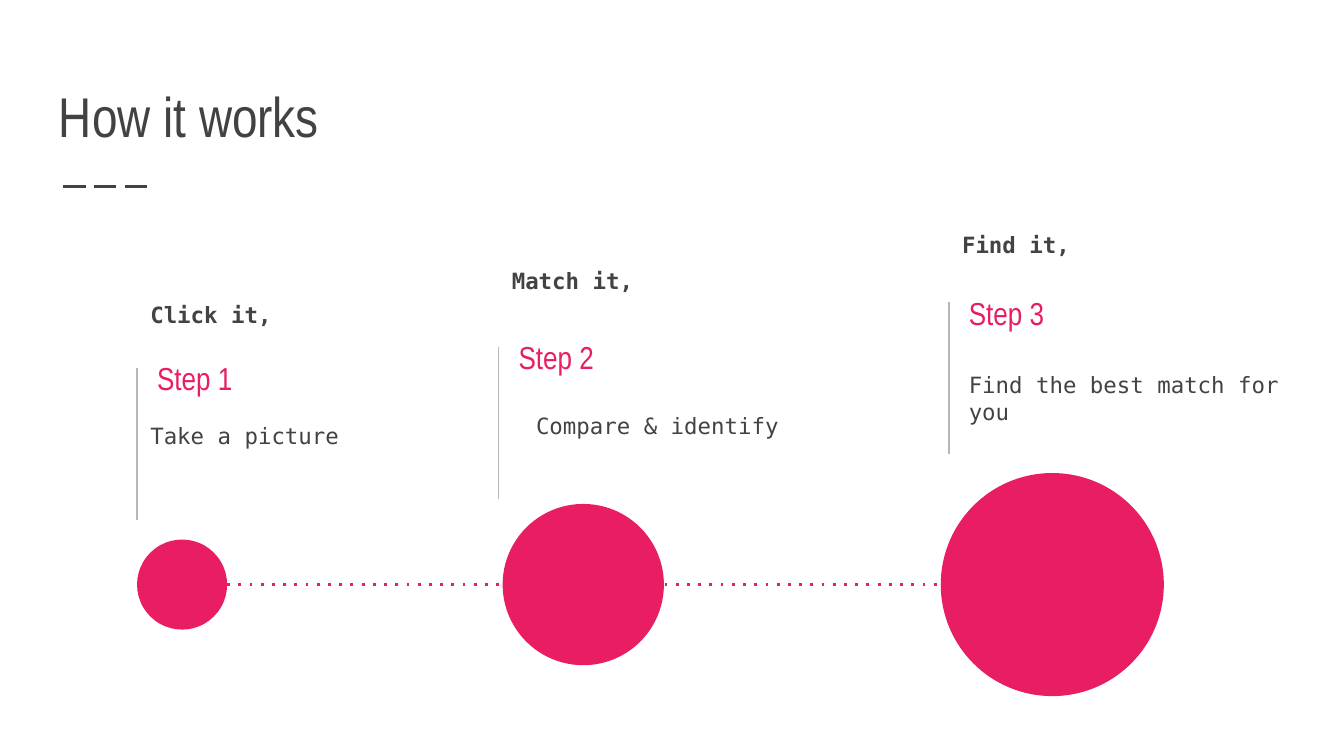
from typing import NamedTuple, Optional

from lxml.etree import SubElement
from pptx import Presentation
from pptx.dml.color import RGBColor
from pptx.enum.shapes import MSO_CONNECTOR_TYPE as Connector, MSO_SHAPE as Preset
from pptx.enum.text import MSO_ANCHOR as Anchor
from pptx.oxml.ns import qn
from pptx.util import Inches, Pt

PINK, GREY, INK, RULE = "E91D63", "424242", "434343", "B7B7B7"
TITLE = {"name": "Arial Narrow", "size": Pt(30), "color": GREY}
LABEL = {"name": "Arial Narrow", "size": Pt(17), "color": PINK}
BODY = {"name": "DejaVu Sans Mono", "size": Pt(12), "color": INK}
ACTION = {**BODY, "bold": True}
AXIS_Y = 4.35
RULE_LENGTH = 1.13


class Box(NamedTuple):
    left: float
    top: float
    width: float
    height: float


class Step(NamedTuple):
    label: str
    action: str
    detail: str
    rule_x: float
    rule_y: float
    action_y: float
    circle_x: float
    diameter: float
    detail_box: Optional[Box]


STEPS = [
    Step("Step 1", "Click it,", "Take a picture",
         1.02, 2.74, 2.11, 1.02, 0.67, None),
    Step("Step 2", "Match it,", "Compare & identify",
         3.71, 2.58, 1.86, 3.74, 1.2, Box(3.89, 2.97, 2.55, 0.29)),
    Step("Step 3", "Find it,", "Find the best match for you",
         7.06, 2.25, 1.59, 7, 1.66, Box(7.11, 2.66, 2.75, 0.29)),
]


def rgb(code: str) -> RGBColor:
    return RGBColor.from_string(code)


def add_words(paragraph, words: str, style: dict) -> None:
    run = paragraph.add_run()
    run.text = words
    for key, value in style.items():
        if key == "color":
            run.font.color.rgb = rgb(value)
        else:
            setattr(run.font, key, value)


def add_text(slide, box: Box, words: str, style: dict, anchor=Anchor.TOP):
    frame = slide.shapes.add_textbox(*map(Inches, box)).text_frame
    settings = {"word_wrap": True, "vertical_anchor": anchor}
    for side in ("left", "top", "right", "bottom"):
        settings[f"margin_{side}"] = Inches(0.1)
    for key, value in settings.items():
        setattr(frame, key, value)
    add_words(frame.paragraphs[0], words, style)
    return frame


def add_line(slide, start: tuple, end: tuple, color: str, width: float,
             dash: str = "solid") -> None:
    line = slide.shapes.add_connector(
        Connector.STRAIGHT, *map(Inches, (*start, *end)))
    line.line.color.rgb = rgb(color)
    line.line.width = Pt(width)
    properties = line._element.spPr
    SubElement(properties.find(qn("a:ln")), qn("a:prstDash"), val=dash)
    SubElement(properties, qn("a:effectLst"))


def add_circle(slide, step: Step) -> None:
    top = AXIS_Y - step.diameter / 2
    circle = slide.shapes.add_shape(Preset.OVAL, *map(
        Inches, (step.circle_x, top, step.diameter, step.diameter)))
    circle.shadow.inherit = False
    circle.fill.solid()
    circle.fill.fore_color.rgb = rgb(PINK)
    circle.line.fill.background()


def add_step(slide, step: Step) -> None:
    x, y = step.rule_x, step.rule_y
    add_line(slide, (x, y), (x, y + RULE_LENGTH), RULE, 0.75)
    add_text(slide, Box(x + 0.05, y - 0.14, 1.98, 0.43), step.label, LABEL,
             Anchor.MIDDLE)
    action = add_text(slide, Box(x, step.action_y, 1.98, 0.35), step.action, ACTION)
    action.paragraphs[0].line_spacing = 1.15
    if step.detail_box:
        add_text(slide, step.detail_box, step.detail, BODY)
    else:
        action.paragraphs[0].space_after = Pt(48.5)
        detail = action.add_paragraph()
        detail.line_spacing = 1.15
        add_words(detail, step.detail, {**BODY, "color": GREY})


def main() -> None:
    deck = Presentation()
    deck.slide_width = Inches(10)
    deck.slide_height = deck.slide_width * 9 // 16
    slide = deck.slides.add_slide(deck.slide_layouts[6])
    add_line(slide, (0.47, 1.39), (1.14, 1.39), GREY, 1.5, "lgDash")
    add_text(slide, Box(0.34, 0.41, 9.32, 0.8), "How it works", TITLE, Anchor.BOTTOM)
    first, last = STEPS[0], STEPS[-1]
    add_line(slide, (first.circle_x + first.diameter, AXIS_Y),
             (last.circle_x, AXIS_Y), PINK, 1.5, "dot")
    for step in STEPS:
        add_step(slide, step)
        add_circle(slide, step)
    deck.save("out.pptx")


if __name__ == "__main__":
    main()
